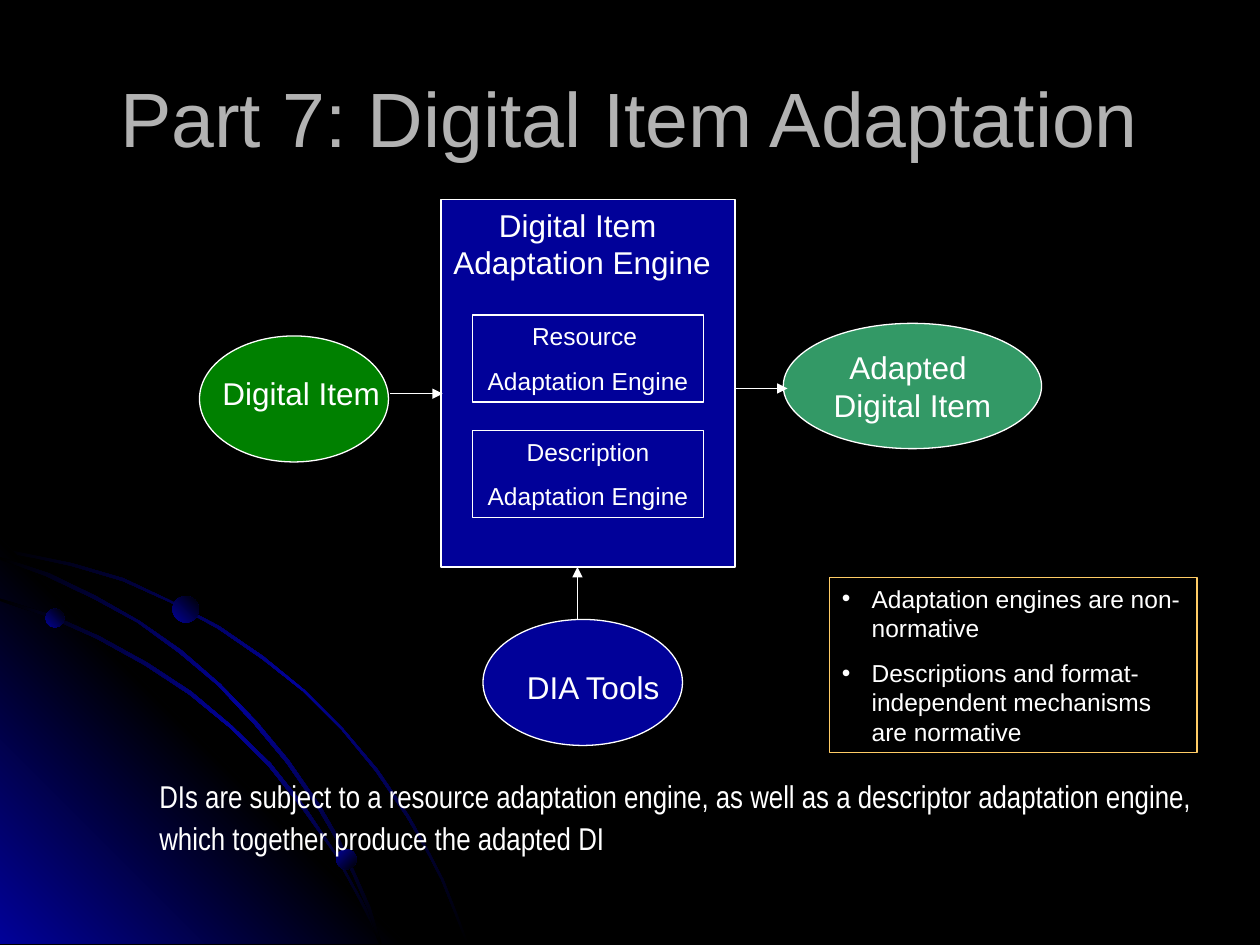
from lxml import etree
from pptx import Presentation
from pptx.dml.color import RGBColor
from pptx.enum import shapes, text
from pptx.oxml import parse_xml
from pptx.oxml.ns import qn
from pptx.util import Pt

NAMESPACE = "http://schemas.openxmlformats.org/drawingml/2006/main"
COLORS = {"black": "000000", "white": "FFFFFF", "navy": "010199", "green": "008000",
          "sea": "339966", "gold": "FFCC66", "gray": "B2B2B2"}
RECT, OVAL = shapes.MSO_SHAPE.RECTANGLE, shapes.MSO_SHAPE.OVAL
LEFT, CENTER = text.PP_ALIGN.LEFT, text.PP_ALIGN.CENTER
TOP, MIDDLE = text.MSO_ANCHOR.TOP, text.MSO_ANCHOR.MIDDLE

# Background outlines, drawn on a grid of 0.72 pt steps
GRID_STEP = 0.72
GLOW = ("navy", "black", "navy")
TRAIL = ("black", "navy", "black")
SWOOSHES = [
    (TRAIL, 45, [
        (57, 447), (28, 441), (0, 435), (0, 438), (28, 443), (56, 449), (97, 461),
        (135, 478), (173, 499), (208, 523), (241, 549), (271, 579), (298, 612),
        (323, 649), (337, 673), (350, 698), (360, 723), (370, 749), (372, 749),
        (362, 723), (352, 698), (339, 673), (325, 648), (300, 611), (272, 578),
        (242, 548), (209, 521), (174, 497), (136, 477), (98, 459)]),
    (GLOW, 315, [(322, 749), (0, 749), (0, 427)]),
    (TRAIL, 45, [
        (285, 714), (294, 732), (301, 749), (303, 749), (296, 730), (286, 712),
        (266, 676), (242, 640), (215, 606), (184, 576), (152, 549), (117, 526),
        (79, 505), (41, 488), (0, 475), (0, 477), (39, 490), (77, 507), (115, 528),
        (150, 551), (183, 578), (213, 608), (240, 642), (265, 677)]),
    (TRAIL, 45, [
        (0, 442), (0, 444), (36, 457), (74, 475), (109, 494), (142, 518), (173, 544),
        (202, 575), (227, 605), (252, 641), (267, 667), (280, 694), (292, 722),
        (301, 749), (303, 749), (294, 720), (282, 693), (269, 665), (254, 639),
        (229, 603), (204, 573), (175, 543), (144, 516), (111, 493), (76, 473),
        (39, 455)]),
]
# left, top, diameter, gradient angle
PLANETS = [(26, 347.8, 10.8, 315), (192.2, 485.3, 11.5, 45), (98.6, 340.6, 15.1, 315)]

# preset, (left, top, width, height), fill, line
NODES = {
    "engine": (RECT, (252, 114, 168, 210), "navy", "white"),
    "digital item": (OVAL, (114, 192, 108, 72), "green", "white"),
    "resource": (RECT, (270, 180, 132, 49.7), "navy", "white"),
    "description": (RECT, (270, 246, 132, 49.7), "navy", "white"),
    "tools": (OVAL, (276, 354, 114, 72), "navy", "white"),
    "adapted": (OVAL, (447.6, 184.8, 147.6, 71.6), "sea", "white"),
    "notes": (RECT, (474, 330, 210, 100), None, "gold"),
}
ARROWS = [((223, 225), (253, 225)), ((330, 354), (330, 324)), ((420, 222), (450, 222))]

# node or text box place, lines, style
TEXTS = [
    ((36, 21.6, 648, 90), ["Part 7: Digital Item Adaptation"], "title"),
    ((120, 210, 104.4, 29), ["Digital Item"], "label"),
    ((252, 114, 161.3, 50.4), ["Digital Item ", "Adaptation Engine"], "heading"),
    ("resource", ["Resource ", "Adaptation Engine"], "part"),
    ("description", ["Description", "Adaptation Engine"], "part"),
    ((294, 378, 93.6, 29), ["DIA Tools"], "label"),
    ("adapted", ["Adapted ", "Digital Item"], "result"),
    ((84, 442.8, 609, 51), [
        "DIs are subject to a resource adaptation engine, as well as a descriptor "
        "adaptation engine,",
        "which together produce the adapted DI"], "summary"),
    ("notes", ["Adaptation engines are non-normative",
               "Descriptions and format-independent mechanisms are normative"], "bullets"),
]
# size, font, color, alignment, anchor, wrap, gap between paragraphs, line spacing
STYLES = {
    "title": (44, "Arial", "gray", CENTER, MIDDLE, True, 0, 1),
    "label": (18, "Arial", "white", LEFT, TOP, False, 0, 1),
    "heading": (18, "Arial", "white", CENTER, TOP, False, 0, 1),
    "result": (18, "Arial", "white", CENTER, MIDDLE, False, 0, 1),
    "part": (14, "Arial", "white", CENTER, TOP, True, 8.8, 1),
    "summary": (18, "Arial Narrow", "white", LEFT, TOP, False, 4.5, 0.9),
    "bullets": (14, "Arial", "white", LEFT, TOP, True, 8.8, 1),
}
BULLET_INDENT = 17


def rgb(name):
    return RGBColor.from_string(COLORS[name])


def points(values):
    return [Pt(value) for value in values]


def paint_gradient(shape, names, angle):
    """Fill with evenly spaced stops, the angle running clockwise; no outline."""
    shape.shadow.inherit = False
    shape.line.fill.background()
    shape.fill.background()
    stops = "".join(
        f'<a:gs pos="{100000 * i // (len(names) - 1)}"><a:srgbClr val="{COLORS[name]}"/></a:gs>'
        for i, name in enumerate(names))
    gradient = parse_xml(
        f'<a:gradFill xmlns:a="{NAMESPACE}" rotWithShape="1"><a:gsLst>{stops}</a:gsLst>'
        f'<a:lin ang="{angle * 60000}" scaled="0"/></a:gradFill>')
    properties = shape._element.spPr
    properties.replace(properties.find(qn("a:noFill")), gradient)


def add_node(slide, preset, place, fill, line):
    node = slide.shapes.add_shape(preset, *points(place))
    node.shadow.inherit = False
    if fill:
        node.fill.solid()
        node.fill.fore_color.rgb = rgb(fill)
    else:
        node.fill.background()
    node.line.color.rgb = rgb(line)
    node.line.width = Pt(0.75)
    return node


def add_arrow(slide, start, end):
    arrow = slide.shapes.add_connector(
        shapes.MSO_CONNECTOR.STRAIGHT, *points(start + end))
    arrow.line.color.rgb = rgb("white")
    arrow.line.width = Pt(0.75)
    etree.SubElement(arrow.line._get_or_add_ln(), qn("a:tailEnd"), type="triangle")
    etree.SubElement(arrow._element.spPr, qn("a:effectLst"))


def add_bullet(paragraph):
    properties = paragraph._p.get_or_add_pPr()
    properties.set("marL", str(Pt(BULLET_INDENT)))
    properties.set("indent", str(-Pt(BULLET_INDENT)))
    etree.SubElement(properties, qn("a:buFont"), typeface="Arial")
    etree.SubElement(properties, qn("a:buChar"), char="•")


def write(frame, lines, style):
    size, font, color, alignment, anchor, wrap, gap, spacing = STYLES[style]
    frame.text = "\n".join(lines)
    frame.word_wrap = wrap
    frame.vertical_anchor = anchor
    for i, paragraph in enumerate(frame.paragraphs):
        if style == "bullets":
            add_bullet(paragraph)
        paragraph.alignment = alignment
        paragraph.line_spacing = spacing
        paragraph.space_before = Pt(gap if i else 0)
        for run in paragraph.runs:
            run.font.size = Pt(size)
            run.font.name = font
            run.font.color.rgb = rgb(color)


def main():
    deck = Presentation()
    deck.slide_width, deck.slide_height = Pt(720), Pt(540)
    slide = deck.slides.add_slide(deck.slide_layouts[6])
    slide.background.fill.solid()
    slide.background.fill.fore_color.rgb = rgb("black")

    for names, angle, outline in SWOOSHES:
        builder = slide.shapes.build_freeform(*outline[0], scale=Pt(GRID_STEP))
        builder.add_line_segments(outline[1:], close=True)
        paint_gradient(builder.convert_to_shape(), names, angle)
    for left, top, diameter, angle in PLANETS:
        planet = slide.shapes.add_shape(OVAL, *points((left, top, diameter, diameter)))
        paint_gradient(planet, ("navy", "black"), angle)

    nodes = {name: add_node(slide, *node) for name, node in NODES.items()}
    for start, end in ARROWS:
        add_arrow(slide, start, end)
    for target, lines, style in TEXTS:
        holder = nodes.get(target) or slide.shapes.add_textbox(*points(target))
        write(holder.text_frame, lines, style)

    deck.save("out.pptx")


if __name__ == "__main__":
    main()
